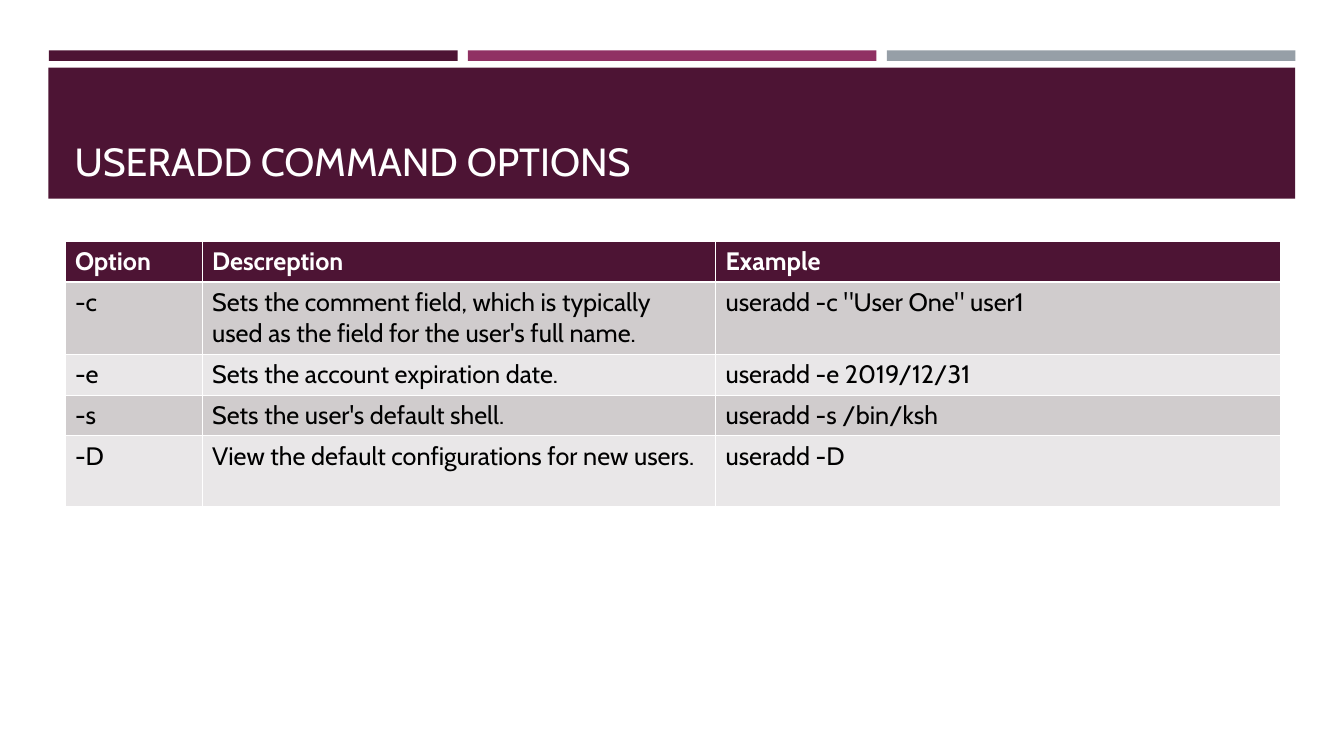
from lxml import etree
from pptx import Presentation
from pptx.dml.color import RGBColor
from pptx.enum.shapes import MSO_SHAPE
from pptx.enum.text import MSO_ANCHOR
from pptx.oxml.ns import qn
from pptx.util import Pt

COLORS = {
    "plum": "4D1434",
    "magenta": "903163",
    "gray": "969FA7",
    "band_dark": "D0CCCD",
    "band_light": "E9E7E8",
    "white": "FFFFFF",
    "black": "000000",
}
FONT = "Cabin"


def add_bar(left, top, width, height, color):
    bar = slide.shapes.add_shape(
        MSO_SHAPE.RECTANGLE, Pt(left), Pt(top), Pt(width), Pt(height))
    bar.shadow.inherit = False
    bar.fill.solid()
    bar.fill.fore_color.rgb = RGBColor.from_string(COLORS[color])
    bar.line.fill.background()


def format_run(run, size, color, bold=False):
    run.font.name = FONT
    run.font.size = Pt(size)
    run.font.bold = bold
    run.font.color.rgb = RGBColor.from_string(COLORS[color])


presentation = Presentation()
presentation.slide_width = Pt(960.5)
presentation.slide_height = Pt(540)
slide = presentation.slides.add_slide(presentation.slide_layouts[6])

# Three accent bars above the title band
for index, color in enumerate(["plum", "magenta", "gray"]):
    add_bar(35 + index * 299.4, 36, 292, 7.6, color)

# Title band
add_bar(34.6, 48.4, 891, 93.6, "plum")
title = slide.shapes.add_textbox(Pt(46.2), Pt(55.4), Pt(868), Pt(80))
title.text_frame.word_wrap = True
title.text_frame.vertical_anchor = MSO_ANCHOR.BOTTOM
title.text_frame.text = "USERADD COMMAND OPTIONS"
format_run(title.text_frame.paragraphs[0].runs[0], 28, "white")

# Options table
rows = [
    ("Option", "Descreption", "Example"),
    ("-c", "Sets the comment field, which is typically used as the field "
           "for the user's full name.", 'useradd -c "User One" user1'),
    ("-e", "Sets the account expiration date.", "useradd -e 2019/12/31"),
    ("-s", "Sets the user's default shell.", "useradd -s /bin/ksh"),
    ("-D", "View the default configurations for new users.", "useradd -D"),
]
column_widths = [98, 367, 403.5]
row_heights = [29.2, 51.4, 29.2, 29.2, 50.4]
table = slide.shapes.add_table(
    len(rows), len(column_widths), Pt(46.4), Pt(172.2),
    Pt(sum(column_widths)), Pt(sum(row_heights))).table
for column, width in zip(table.columns, column_widths):
    column.width = Pt(width)
for row, height in zip(table.rows, row_heights):
    row.height = Pt(height)

for row_index, texts in enumerate(rows):
    is_header = row_index == 0
    if is_header:
        fill_color = "plum"
    else:
        fill_color = "band_dark" if row_index % 2 else "band_light"
    # The rule between header and body is heavier
    border_widths = {"lnL": 0.45, "lnR": 0.45,
                     "lnT": 1.47 if row_index == 1 else 0.45,
                     "lnB": 1.47 if is_header else 0.45}
    for column_index, text in enumerate(texts):
        cell = table.cell(row_index, column_index)
        properties = cell._tc.get_or_add_tcPr()
        for side, width in border_widths.items():
            border = etree.SubElement(properties, qn(f"a:{side}"), w=str(Pt(width)))
            border_fill = etree.SubElement(border, qn("a:solidFill"))
            etree.SubElement(border_fill, qn("a:srgbClr"), val=COLORS["white"])
        cell.fill.solid()
        cell.fill.fore_color.rgb = RGBColor.from_string(COLORS[fill_color])
        cell.text_frame.text = text
        format_run(cell.text_frame.paragraphs[0].runs[0], 18,
                   "white" if is_header else "black", is_header)

presentation.save("out.pptx")
